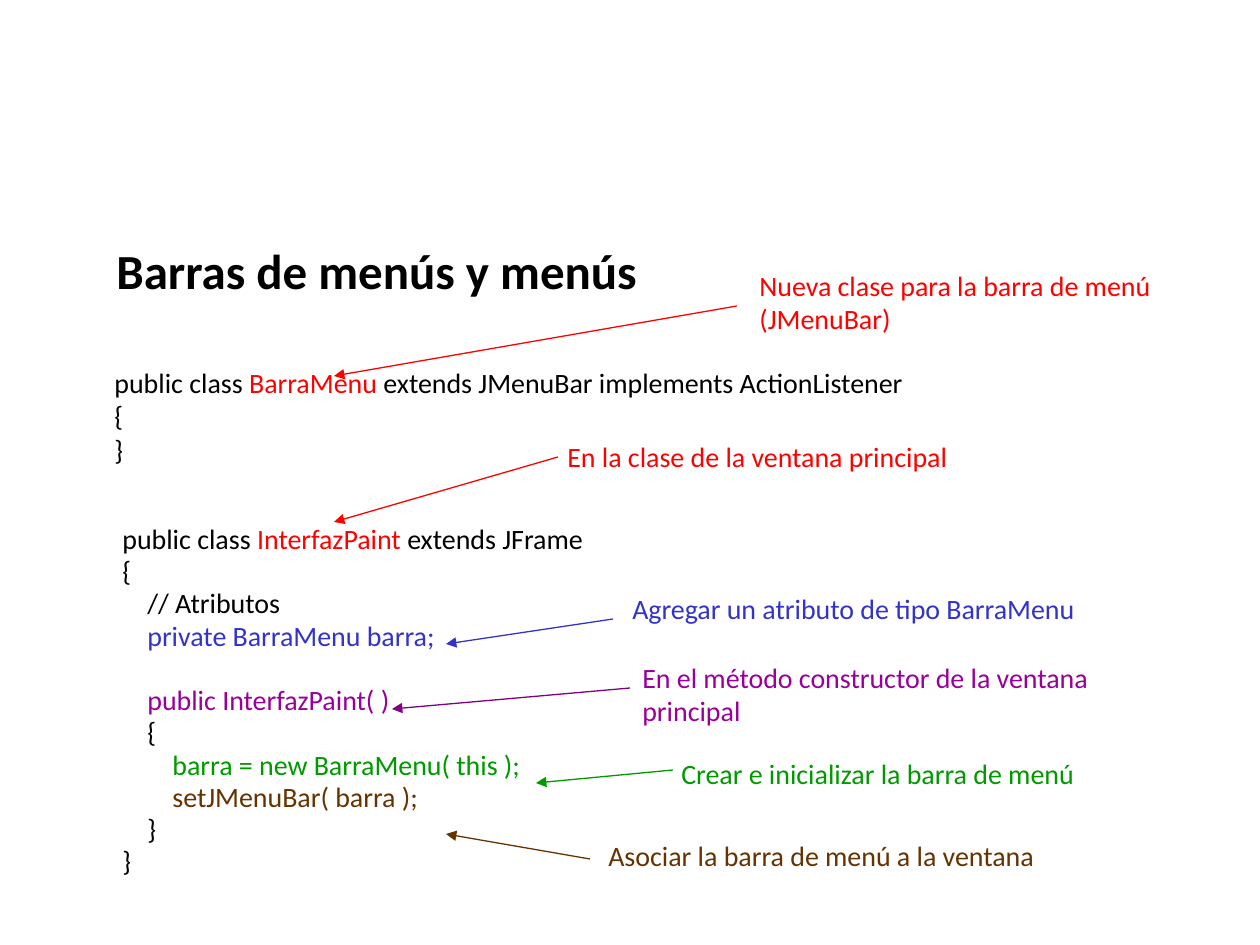
from pptx import Presentation
from pptx.util import Emu, Pt
from pptx.dml.color import RGBColor
from pptx.enum.shapes import MSO_CONNECTOR
from pptx.oxml.ns import qn
from lxml.etree import SubElement

THEME = {
    "font": "Calibri", "title": 28, "body": 16, "line": 0.75,
    "black": "000000", "red": "FF0000", "blue": "3333CC",
    "violet": "990099", "plum": "800080", "green": "009900", "brown": "663300",
}
WIDTH, HEIGHT = 1260, 945
SCALE = 914400 / 126
STEP = 25
TIGHT, GAP, BREAK = 0.8, 3, 21.6

TITLE = [(0, [("Barras de menús y menús", "black")])]
BAR = [
    (0, [("public class ", "black"), ("BarraMenu ", "red"),
         ("extends JMenuBar implements ActionListener", "black")]),
    (0, [("{", "black")]),
    (0, [("}", "black")]),
]
FRAME = [
    (0, [("public class ", "black"), ("InterfazPaint", "red"),
         (" extends JFrame", "black")]),
    (0, [("{", "black")]),
    (1, [("// Atributos", "black")]),
    (1, [("private BarraMenu barra;", "blue")]),
    (1, [("public InterfazPaint( )", "violet")]),
    (1, [("{", "black")]),
    (2, [("barra = new BarraMenu( this );", "green")]),
    (2, [("setJMenuBar( barra );", "brown")]),
    (1, [("}", "black")]),
    (0, [("}", "black")]),
]
METHOD = 4
NOTES = [
    ("Nueva clase para la barra de menú (JMenuBar)", "red", (747, 262, 446, 81),
     "red", (737, 306, 334, 376)),
    ("En la clase de la ventana principal", "red", (555, 433, 416, 47),
     "red", (558, 457, 334, 522)),
    ("Agregar un atributo de tipo BarraMenu", "blue", (620, 585, 480, 47),
     "blue", (613, 619, 446, 644)),
    ("En el método constructor de la ventana principal", "violet",
     (630, 654, 493, 81), "plum", (630, 688, 392, 709)),
    ("Crear e inicializar la barra de menú", "green", (669, 750, 493, 47),
     "green", (673, 770, 536, 783)),
    ("Asociar la barra de menú a la ventana", "brown", (596, 832, 493, 47),
     "brown", (590, 859, 446, 834)),
]


def px(n):
    return Emu(round(n * SCALE))


def tint(name):
    return RGBColor.from_string(THEME[name])


def write(slide, box, rows, size="body", bold=False):
    frame = slide.shapes.add_textbox(*map(px, box)).text_frame
    frame.word_wrap = True
    paras = []
    for i, (depth, parts) in enumerate(rows):
        para = frame.add_paragraph() if i else frame.paragraphs[0]
        if depth:
            para._p.get_or_add_pPr().set("marL", str(px(depth * STEP)))
        for text, color in parts:
            run = para.add_run()
            run.text = text
            run.font.name = THEME["font"]
            run.font.size = Pt(THEME[size])
            run.font.bold = bold
            run.font.color.rgb = tint(color)
        paras.append(para)
    return paras


def arrow(slide, ends, color):
    link = slide.shapes.add_connector(MSO_CONNECTOR.STRAIGHT, *map(px, ends))
    link.line.color.rgb = tint(color)
    link.line.width = Pt(THEME["line"])
    SubElement(link.line._get_or_add_ln(), qn("a:tailEnd"), type="triangle")
    SubElement(link._element.spPr, qn("a:effectLst"))


def main():
    deck = Presentation()
    deck.slide_width, deck.slide_height = px(WIDTH), px(HEIGHT)
    slide = deck.slides.add_slide(deck.slide_layouts[6])
    write(slide, (104, 234, 794, 72), TITLE, "title", True)
    for i, para in enumerate(write(slide, (110, 522, 563, 222), FRAME)):
        para.line_spacing = TIGHT
        para.space_before = Pt(BREAK if i == METHOD else GAP)
    write(slide, (102, 359, 1150, 115), BAR)
    for text, color, box, stroke, ends in NOTES:
        write(slide, box, [(0, [(text, color)])])
        arrow(slide, ends, stroke)
    deck.save("out.pptx")


if __name__ == "__main__":
    main()
